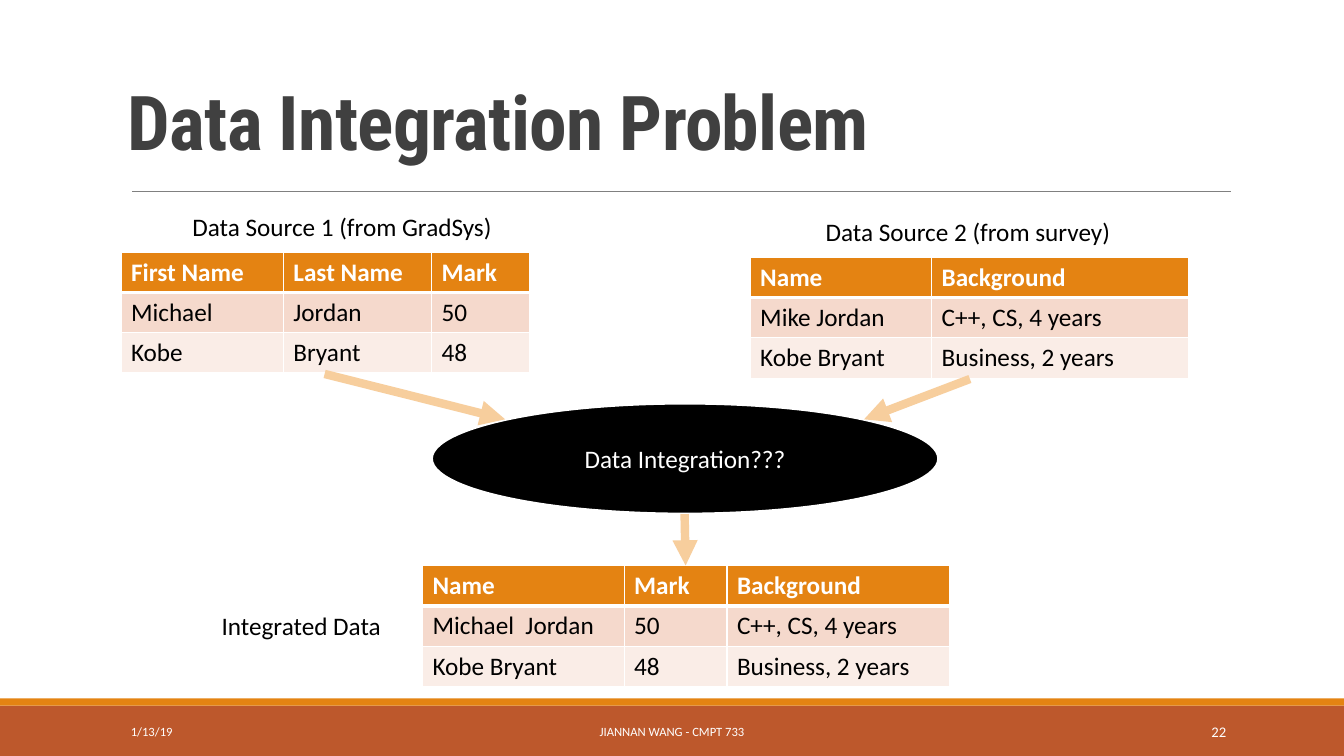
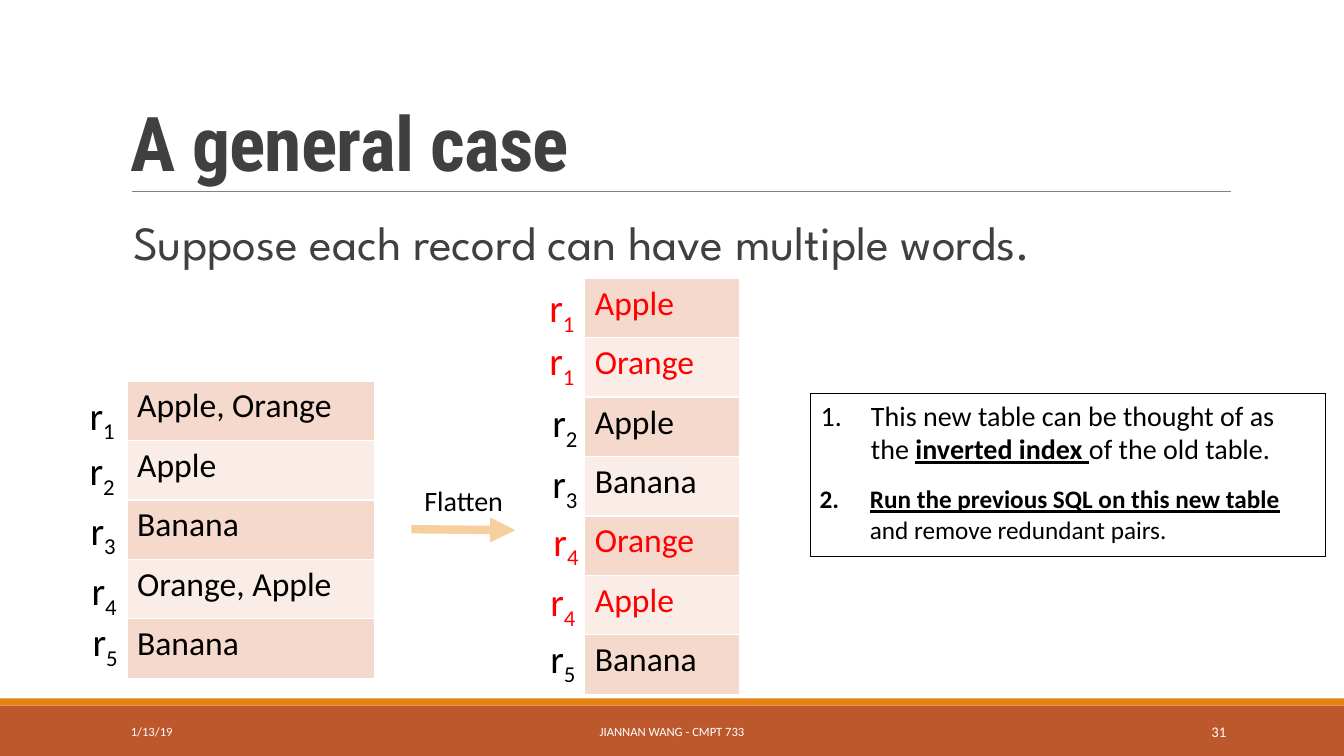
"""Build two lecture slides on data integration and flattening records."""
from lxml.etree import SubElement
from pptx import Presentation
from pptx.dml.color import RGBColor
from pptx.enum.shapes import MSO_CONNECTOR, MSO_SHAPE
from pptx.enum.text import MSO_ANCHOR as Anchor, MSO_AUTO_SIZE as AutoSize, PP_ALIGN as Align
from pptx.oxml.ns import qn
from pptx.util import Inches, Pt

WIDTH, HEIGHT = 13.33, 7.5
WHITE = RGBColor(0xFF, 0xFF, 0xFF)
BLACK = RGBColor(0, 0, 0)
RED = RGBColor(0xFF, 0, 0)
CHARCOAL = RGBColor(0x40, 0x40, 0x40)
GRAY = RGBColor(0x80, 0x80, 0x80)
RUST = RGBColor(0xBD, 0x58, 0x2C)
ORANGE = RGBColor(0xE4, 0x83, 0x12)
PEACH = RGBColor(0xF7, 0xCE, 0x9D)
STRIPES = (RGBColor(0xF5, 0xD9, 0xCC), RGBColor(0xFA, 0xED, 0xE7))

BANDS = [((0, 7, WIDTH, 0.5), RUST), ((0, 6.93, WIDTH, 0.07), ORANGE)]
FOOTER_TOP, FOOTER_HEIGHT = 7.06, 0.4
DATE, AUTHOR = "1/13/19", "JIANNAN WANG - CMPT 733"

SOURCE_TABLES = [
    {"left": 1.2, "top": 2.5, "columns": [1.61, 1.47, 0.97], "rows": [
        ["First Name", "Last Name", "Mark"],
        ["Michael", "Jordan", "50"],
        ["Kobe", "Bryant", "48"]]},
    {"left": 7.44, "top": 2.55, "columns": [1.8, 2.55], "rows": [
        ["Name", "Background"],
        ["Mike Jordan", "C++, CS, 4 years"],
        ["Kobe Bryant", "Business, 2 years"]]},
    {"left": 4.19, "top": 5.61, "columns": [2, 1.02, 2.21], "rows": [
        ["Name", "Mark", "Background"],
        ["Michael  Jordan", "50", "C++, CS, 4 years"],
        ["Kobe Bryant", "48", "Business, 2 years"]]},
]
TABLE_LABELS = [
    ("Data Source 1 (from GradSys)", (1.81, 2.05, 3.2, 0.4)),
    ("Data Source 2 (from survey)", (8.09, 2.1, 3.06, 0.4)),
    ("Integrated Data", (2.1, 6.01, 1.8, 0.4)),
]
INTEGRATION_ARROWS = [
    ((3.22, 3.71), (5.01, 4.16)),
    ((9.62, 3.76), (8.57, 4.16)),
    ((6.79, 5.1), (6.8, 5.61)),
]

RECORD_TABLES = [
    {"left": 1.26, "top": 3.78, "width": 2.46, "records": [
        ("Apple, Orange", "1", BLACK, 0.79, 3.83),
        ("Apple", "2", BLACK, 0.79, 4.38),
        ("Banana", "3", BLACK, 0.8, 4.97),
        ("Orange, Apple", "4", BLACK, 0.81, 5.57),
        ("Banana", "5", BLACK, 0.82, 6.08)]},
    {"left": 5.8, "top": 2.76, "width": 1.54, "records": [
        ("Apple", "1", RED, 5.35, 2.76),
        ("Orange", "1", RED, 5.35, 3.29),
        ("Apple", "2", BLACK, 5.38, 3.9),
        ("Banana", "3", BLACK, 5.38, 4.51),
        ("Orange", "4", RED, 5.39, 5.08),
        ("Apple", "4", RED, 5.36, 5.68),
        ("Banana", "5", BLACK, 5.36, 6.24)]},
]
STRONG = {"bold": True, "underline": True}
NOTES = [
    ((8.04, 3.9, 5.11, 1.62), 20, BLACK, [
        ("This new table can be thought of as the ", {}),
        ("inverted index ", STRONG),
        ("of the old table.", {})]),
    ((8.03, 4.75, 5.13, 0.71), 18, None, [
        ("Run the previous SQL on this new table ", STRONG),
        ("and remove redundant pairs.", {})]),
]


def inches(values):
    return [Inches(value) for value in values]


def apply_format(target, values):
    for name, value in values.items():
        setattr(target, name, value)


def write_runs(paragraph, runs, size, color=BLACK, font="Calibri", attributes=None, **format_values):
    for text, extra in runs:
        run = paragraph.add_run()
        run.text = text
        apply_format(run.font, {"name": font, "size": Pt(size), **format_values, **extra})
        run.font.color.rgb = color
        for name, value in (attributes or {}).items():
            run.font._element.set(name, value)


def add_text(slide, box, text, size, frame=None, paragraph=None, **style):
    shape = slide.shapes.add_textbox(*inches(box))
    apply_format(shape.text_frame, {"word_wrap": True, **(frame or {})})
    first = shape.text_frame.paragraphs[0]
    apply_format(first, paragraph or {})
    runs = [(text, {})] if isinstance(text, str) else text
    write_runs(first, runs, size, **style)
    return shape


def add_label(slide, box, text, size, **style):
    frame = {"word_wrap": False, "auto_size": AutoSize.SHAPE_TO_FIT_TEXT}
    return add_text(slide, box, text, size, frame, **style)


def add_filled(slide, kind, box, color):
    shape = slide.shapes.add_shape(kind, *inches(box))
    shape.shadow.inherit = False
    shape.fill.solid()
    shape.fill.fore_color.rgb = color
    shape.line.fill.background()
    return shape


def add_line(slide, start, end, color, width, arrow=False):
    line = slide.shapes.add_connector(MSO_CONNECTOR.STRAIGHT, *inches(start + end))
    line.line.color.rgb = color
    line.line.width = Pt(width)
    properties = line._element.spPr
    if arrow:
        SubElement(properties.find(qn("a:ln")), qn("a:tailEnd"), type="triangle")
    SubElement(properties, qn("a:effectLst"))


def add_borders(cell, widths):
    properties = cell._tc.get_or_add_tcPr()
    for side, width in widths.items():
        border = SubElement(properties, qn(f"a:ln{side}"), w=str(Pt(width)))
        fill = SubElement(border, qn("a:solidFill"))
        SubElement(fill, qn("a:srgbClr"), val=str(WHITE))


def add_grid(slide, left, top, columns, rows, row_height, size, header=False, row_colors=None):
    box = (left, top, sum(columns), row_height * len(rows))
    table = slide.shapes.add_table(len(rows), len(columns), *inches(box)).table
    apply_format(table, {"first_row": header, "horz_banding": False})
    for column, width in zip(table.columns, columns):
        column.width = Inches(width)
    for row_index, row in enumerate(rows):
        table.rows[row_index].height = Inches(row_height)
        is_header = header and row_index == 0
        fill = ORANGE if is_header else STRIPES[(row_index - header) % 2]
        color = WHITE if is_header else row_colors[row_index] if row_colors else BLACK
        widths = {"L": 1, "R": 1, "T": 3 if header and row_index == 1 else 1,
                  "B": 3 if is_header else 1}
        for column_index, text in enumerate(row):
            cell = table.cell(row_index, column_index)
            add_borders(cell, widths)
            cell.fill.solid()
            cell.fill.fore_color.rgb = fill
            write_runs(cell.text_frame.paragraphs[0], [(text, {})], size, color, bold=is_header)


def add_base_slide(presentation, title, title_box, number):
    slide = presentation.slides.add_slide(presentation.slide_layouts[6])
    for box, color in BANDS:
        add_filled(slide, MSO_SHAPE.RECTANGLE, box, color)
    add_line(slide, (1.31, 1.9), (12.21, 1.9), GRAY, 0.5)
    add_text(slide, title_box, title, 54, {"vertical_anchor": Anchor.BOTTOM},
             {"line_spacing": 0.85}, color=CHARCOAL, font="Roboto Condensed",
             attributes={"spc": "-50"}, bold=True)
    footers = [(1.2, 2.7, DATE, 9, Align.LEFT), (4.03, 5.27, AUTHOR, 9, Align.CENTER),
               (10.83, 1.43, number, 10.5, Align.RIGHT)]
    for left, width, text, size, alignment in footers:
        add_text(slide, (left, FOOTER_TOP, width, FOOTER_HEIGHT), text, size,
                 {"vertical_anchor": Anchor.MIDDLE}, {"alignment": alignment}, color=WHITE)
    return slide


def add_integration_slide(presentation):
    slide = add_base_slide(presentation, "Data Integration Problem", (1.17, 0.11, 11, 1.59), "22")
    for table in SOURCE_TABLES:
        add_grid(slide, **table, row_height=0.4, size=18, header=True)
    for text, box in TABLE_LABELS:
        add_label(slide, box, text, 18)
    ellipse = add_filled(slide, MSO_SHAPE.OVAL, (4.28, 4, 5.03, 1.1), BLACK)
    ellipse.line.color.rgb = WHITE
    ellipse.line.width = Pt(2)
    ellipse.text_frame.vertical_anchor = Anchor.MIDDLE
    paragraph = ellipse.text_frame.paragraphs[0]
    paragraph.alignment = Align.CENTER
    write_runs(paragraph, [("Data Integration???", {})], 18, WHITE)
    for start, end in INTEGRATION_ARROWS:
        add_line(slide, start, end, PEACH, 6, arrow=True)


def add_numbered_note(slide, number, box, size, outline, runs):
    note = add_text(slide, box, runs, size, paragraph={"space_before": Pt(6)})
    properties = note.text_frame.paragraphs[0]._p.get_or_add_pPr()
    for name, value in {"marL": 0.5, "indent": -0.5}.items():
        properties.set(name, str(Inches(value)))
    SubElement(properties, qn("a:buFont"), typeface="+mj-lt")
    SubElement(properties, qn("a:buAutoNum"), type="arabicPeriod", startAt=str(number))
    if outline is not None:
        note.line.color.rgb = outline
        note.line.width = Pt(0.75)


def add_flatten_slide(presentation):
    slide = add_base_slide(presentation, "A general case", (1.2, 0.31, 11.96, 1.59), "31")
    add_text(slide, (1.2, 2.13, 11, 0.8), "Suppose each record can have multiple words.", 34,
             {"margin_left": Inches(0.12), "margin_right": 0},
             {"line_spacing": 0.9, "space_before": Pt(12), "space_after": Pt(2)},
             color=CHARCOAL, font="League Spartan")
    for table in RECORD_TABLES:
        records = table["records"]
        add_grid(slide, table["left"], table["top"], [table["width"]],
                 [[record[0]] for record in records], 0.59, 24,
                 row_colors=[record[2] for record in records])
        for _, index, color, left, top in records:
            label = add_label(slide, (left, top, 0.47, 0.57), [("r", {}), (index, {})], 28, color=color)
            subscript = label.text_frame.paragraphs[0].runs[1]
            subscript.font._element.set("baseline", "-25000")
    add_line(slide, (4.08, 5.25), (5.11, 5.26), PEACH, 6, arrow=True)
    add_label(slide, (4.11, 4.75, 1, 0.44), "Flatten", 20)
    for number, note in enumerate(NOTES, 1):
        add_numbered_note(slide, number, *note)


def main():
    presentation = Presentation()
    apply_format(presentation, {"slide_width": Inches(WIDTH), "slide_height": Inches(HEIGHT)})
    add_integration_slide(presentation)
    add_flatten_slide(presentation)
    presentation.save("out.pptx")


if __name__ == "__main__":
    main()
